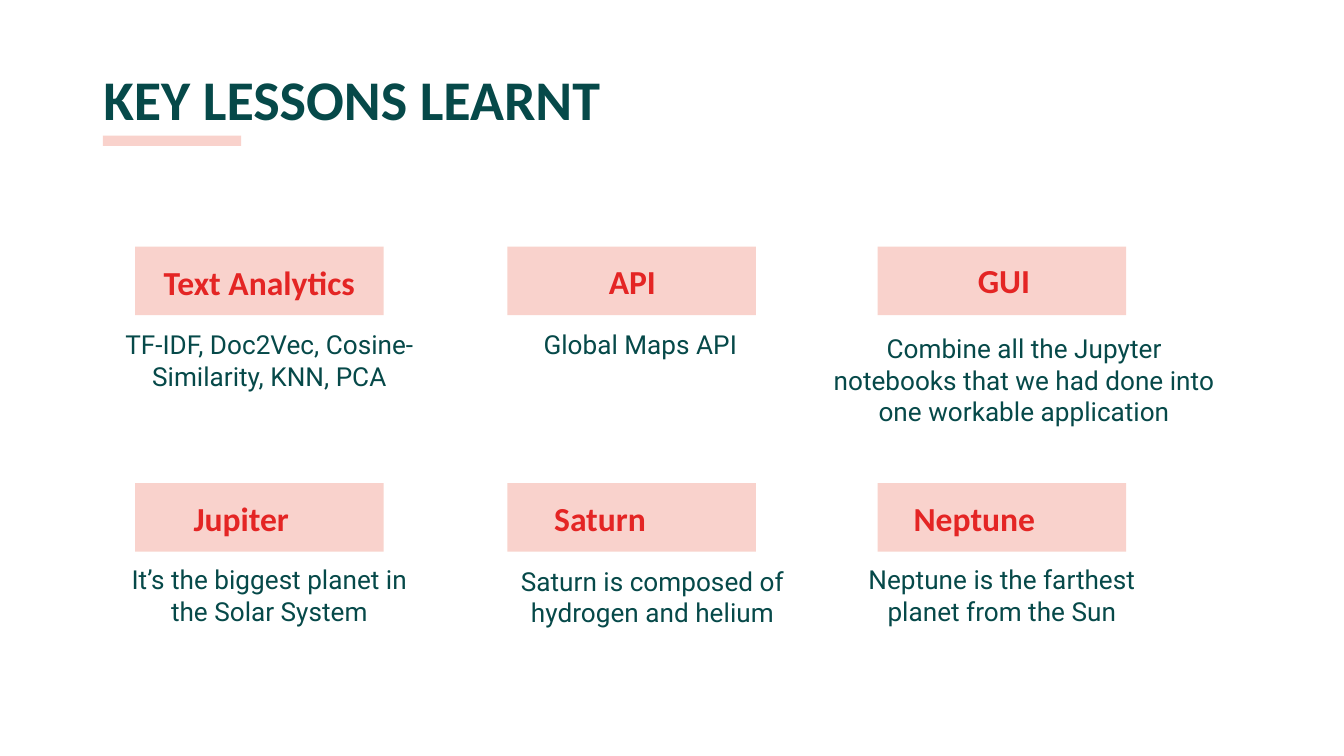
from lxml.etree import SubElement
from pptx import Presentation
from pptx.dml.color import RGBColor
from pptx.enum.shapes import MSO_SHAPE
from pptx.enum.text import MSO_ANCHOR, PP_ALIGN
from pptx.oxml.ns import qn
from pptx.util import Emu, Pt

PX = 4572  # 200 px to the inch
COLORS = {"pink": "F4AA9E", "green": "064949", "red": "E42524"}
COLUMNS = (201, 755, 1306)
ROWS = (367, 719)

# heading, its box, body text, its box; three cards to a row
CARDS = [
    ("Text Analytics", (186, 378, 400, 84),
     "TF-IDF, Doc2Vec, Cosine-Similarity, KNN, PCA", (158, 469, 486, 178)),
    ("API", (643, 376, 596, 84),
     "Global Maps API", (710, 469, 486, 178)),
    ("GUI", (1144, 375, 700, 84),
     "Combine all the Jupyter notebooks that we had done into one workable application",
     (1219, 475, 610, 178)),
    ("Jupiter", (90, 729, 538, 84),
     "It’s the biggest planet in the Solar System", (158, 819, 486, 172)),
    ("Saturn", (567, 729, 652, 84),
     "Saturn is composed of hydrogen and helium", (728, 821, 486, 172)),
    ("Neptune", (1139, 729, 622, 84),
     "Neptune is the farthest planet from the Sun", (1248, 819, 486, 172)),
]


def to_emu(box):
    return [Emu(v * PX) for v in box]


def add_bar(s, box):
    """Add a translucent pink rectangle without an outline."""
    sp = s.shapes.add_shape(MSO_SHAPE.RECTANGLE, *to_emu(box))
    sp.shadow.inherit = False
    sp.line.fill.background()
    sp.fill.solid()
    sp.fill.fore_color.rgb = RGBColor.from_string(COLORS["pink"])
    color = sp.fill._xPr.find(qn("a:solidFill"))[0]
    SubElement(color, qn("a:alpha"), val="52000")


def add_text(s, text, box, size=14, font="Roboto", color="green", bold=False,
             align=PP_ALIGN.CENTER, anchor=MSO_ANCHOR.TOP):
    tf = s.shapes.add_textbox(*to_emu(box)).text_frame
    tf.word_wrap = True
    tf.vertical_anchor = anchor
    tf.margin_left = tf.margin_right = tf.margin_top = tf.margin_bottom = Emu(20 * PX)
    p = tf.paragraphs[0]
    p.alignment = align
    r = p.add_run()
    r.text = text
    r.font.size = Pt(size)
    r.font.name = font
    r.font.bold = bold
    r.font.color.rgb = RGBColor.from_string(COLORS[color])


def add_card(s, left, top, heading, heading_box, body, body_box):
    add_bar(s, (left, top, 370, 102))
    add_text(s, heading, heading_box, size=18, font="Calibri", color="red",
             bold=True, anchor=MSO_ANCHOR.MIDDLE)
    add_text(s, body, body_box)


def main():
    prs = Presentation()
    prs.slide_width, prs.slide_height = to_emu((2000, 1125))
    s = prs.slides.add_slide(prs.slide_layouts[6])
    add_text(s, "KEY LESSONS LEARNT", (134, 76, 1410, 158), size=30,
             font="Calibri", bold=True, align=PP_ALIGN.LEFT)
    add_bar(s, (153, 202, 206, 15))
    for i, card in enumerate(CARDS):
        row, column = divmod(i, len(COLUMNS))
        add_card(s, COLUMNS[column], ROWS[row], *card)
    prs.save("out.pptx")


if __name__ == "__main__":
    main()
